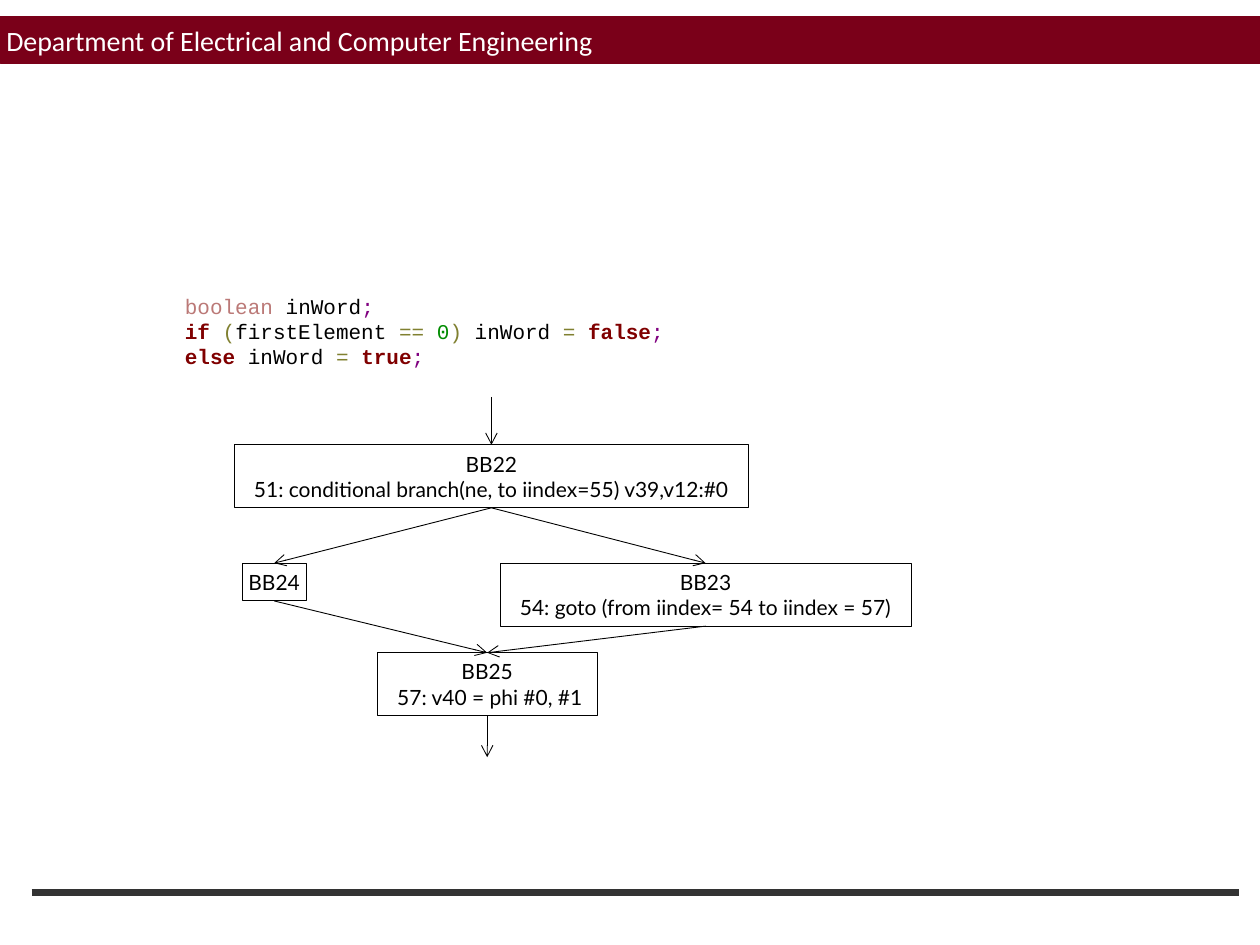
from lxml import etree
from pptx import Presentation
from pptx.dml.color import RGBColor
from pptx.enum import shapes, text
from pptx.oxml import ns
from pptx.util import Pt

COLOURS = {
    "maroon": "7A0019", "rule": "333333", "white": "FFFFFF", "black": "000000",
    "type": "BB7977", "name": "000000", "end": "800080",
    "keyword": "800000", "operator": "808030", "number": "008C00",
}

CODE = [
    [("boolean ", "type"), ("inWord", "name"), (";", "end")],
    [("if ", "keyword"), ("(", "operator"), ("firstElement ", "name"),
     ("== ", "operator"), ("0", "number"), (") ", "operator"),
     ("inWord ", "name"), ("= ", "operator"), ("false", "keyword"), (";", "end")],
    [("else ", "keyword"), ("inWord ", "name"), ("= ", "operator"),
     ("true", "keyword"), (";", "end")],
]

BLOCKS = {
    "BB22": (0, 27.4, 293.8, 36, " 51: conditional branch(ne, to iindex=55) v39,v12:#0 "),
    "BB24": (4.4, 95, 36.7, 21.6, None),
    "BB23": (152, 95, 234.7, 36, " 54: goto (from iindex= 54 to iindex = 57) "),
    "BB25": (81.5, 146.2, 126, 36, " 57: v40 = phi #0, #1"),
}
BRANCHES = [("BB22", "BB24"), ("BB22", "BB23"), ("BB23", "BB25"), ("BB24", "BB25")]
TOP_SITE, BOTTOM_SITE = 0, 2


def colour(name):
    return RGBColor.from_string(COLOURS[name])


def style_font(font, face, size, name):
    font.name, font.size = face, Pt(size)
    font.color.rgb = colour(name)


def add_panel(slide, left, top, width, height, fill, line, weight):
    panel = slide.shapes.add_shape(
        shapes.MSO_SHAPE.RECTANGLE, Pt(left), Pt(top), Pt(width), Pt(height))
    panel.shadow.inherit = False
    panel.fill.solid()
    panel.fill.fore_color.rgb = colour(fill)
    panel.line.color.rgb = colour(line)
    panel.line.width = Pt(weight)
    frame = panel.text_frame
    frame.margin_left = frame.margin_right = Pt(3.6)
    frame.margin_top = frame.margin_bottom = Pt(3.6)
    return panel


def add_line(slide, start, end, name, weight, arrow=False):
    line = slide.shapes.add_connector(
        shapes.MSO_CONNECTOR.STRAIGHT, *(Pt(v) for v in (*start, *end)))
    line.line.color.rgb = colour(name)
    line.line.width = Pt(weight)
    if arrow:
        etree.SubElement(line.line._get_or_add_ln(), ns.qn("a:tailEnd"), type="arrow")
    etree.SubElement(line._element.spPr, ns.qn("a:effectLst"))
    return line


def add_header(slide, left, top, width, height):
    header = add_panel(slide, left, top, width, height, "maroon", "maroon", 0.25)
    frame = header.text_frame
    frame.vertical_anchor = text.MSO_ANCHOR.BOTTOM
    frame.text = "Department of Electrical and Computer Engineering"
    title = frame.paragraphs[0]
    title.alignment = text.PP_ALIGN.LEFT
    title.space_before = Pt(9)
    style_font(title.font, "Calibri", 16, "white")


def add_code(slide, left, top, width, height):
    frame = slide.shapes.add_textbox(
        Pt(left), Pt(top), Pt(width), Pt(height)).text_frame
    frame.word_wrap = True
    for index, tokens in enumerate(CODE):
        statement = frame.add_paragraph() if index else frame.paragraphs[0]
        for token, kind in tokens:
            run = statement.add_run()
            run.text = token
            style_font(run.font, "Courier New", 12, kind)
            run.font.bold = kind == "keyword"


def add_block(slide, left, top, width, height, label, instruction):
    block = add_panel(slide, left, top, width, height, "white", "black", 0.5)
    frame = block.text_frame
    frame.word_wrap = False
    frame.vertical_anchor = text.MSO_ANCHOR.TOP
    frame.text = f"{label}\n{instruction}" if instruction else label
    for paragraph in frame.paragraphs:
        paragraph.alignment = text.PP_ALIGN.CENTER
        style_font(paragraph.font, "Lato", 12, "black")
    return block


def add_flow_graph(slide, left, top, height):
    blocks = {}
    for label, (x, y, block_width, block_height, instruction) in BLOCKS.items():
        blocks[label] = add_block(
            slide, left + x, top + y, block_width, block_height, label, instruction)

    x, _, block_width, *_ = BLOCKS["BB22"]
    entry = (left + x + block_width / 2, top)
    add_line(slide, entry, entry, "black", 0.5, True).end_connect(blocks["BB22"], TOP_SITE)

    for source, target in BRANCHES:
        branch = add_line(slide, entry, entry, "black", 0.5, True)
        branch.begin_connect(blocks[source], BOTTOM_SITE)
        branch.end_connect(blocks[target], TOP_SITE)

    x, _, block_width, *_ = BLOCKS["BB25"]
    leave = (left + x + block_width / 2, top + height)
    add_line(slide, leave, leave, "black", 0.5, True).begin_connect(
        blocks["BB25"], BOTTOM_SITE)


def main():
    deck = Presentation()
    deck.slide_width, deck.slide_height = Pt(720), Pt(540)
    slide = deck.slides.add_slide(deck.slide_layouts[6])
    add_line(slide, (18, 509.8), (707.8, 509.8), "rule", 4)
    add_header(slide, 0, 9.2, 720, 27)
    add_code(slide, 98.6, 164.2, 360, 51)
    add_flow_graph(slide, 133.9, 226.8, 205.9)
    deck.save("out.pptx")


if __name__ == "__main__":
    main()
